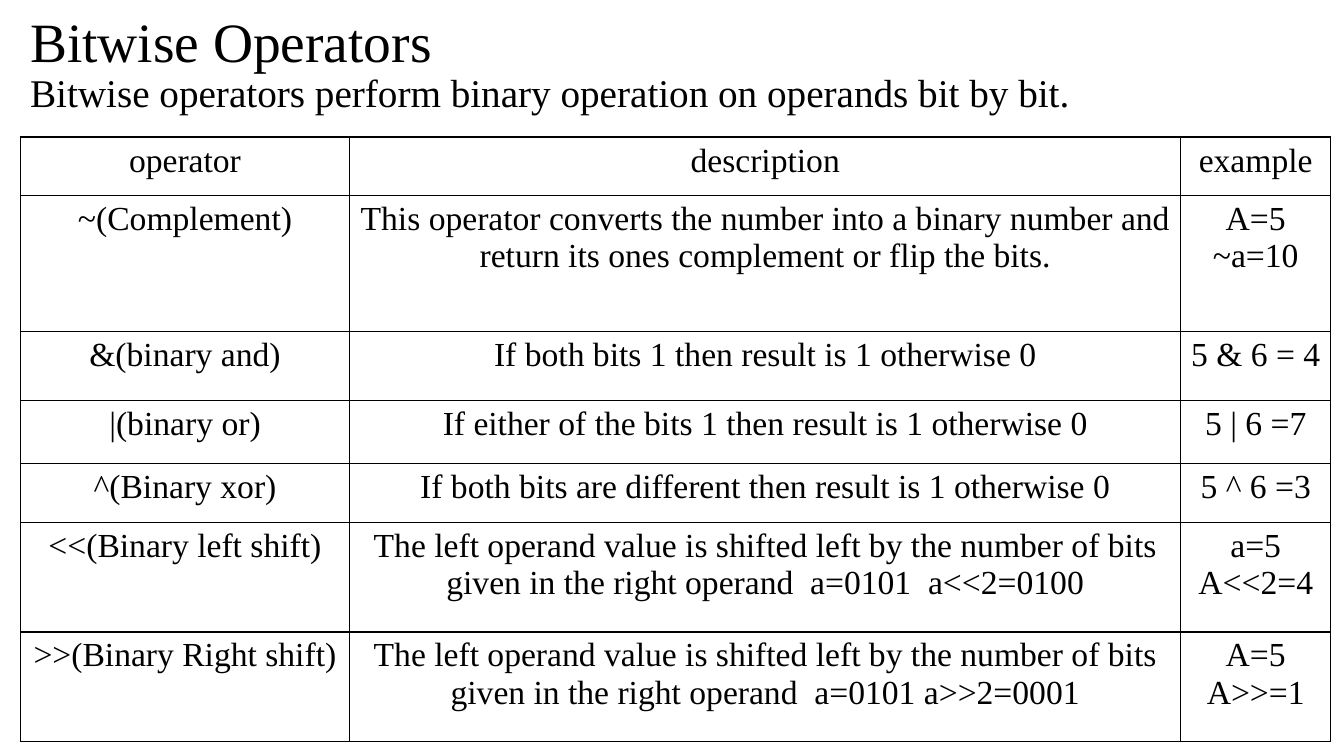
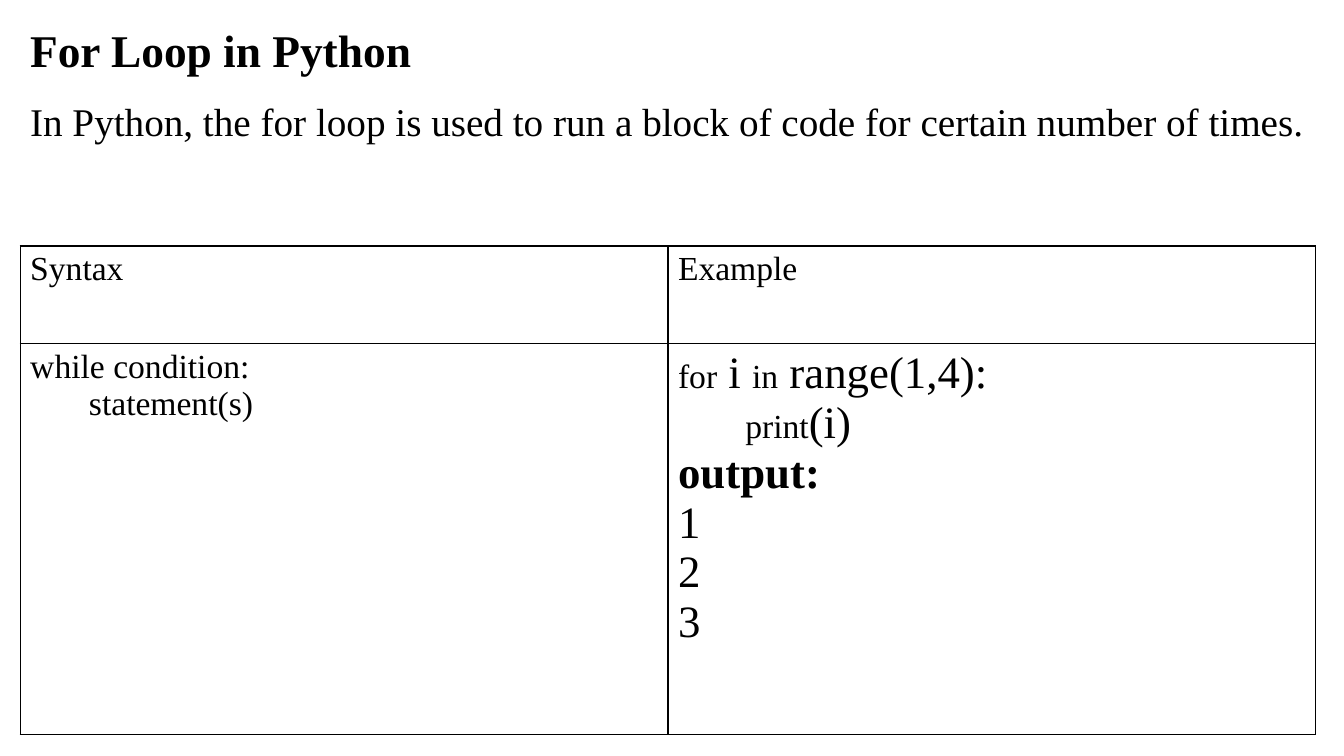
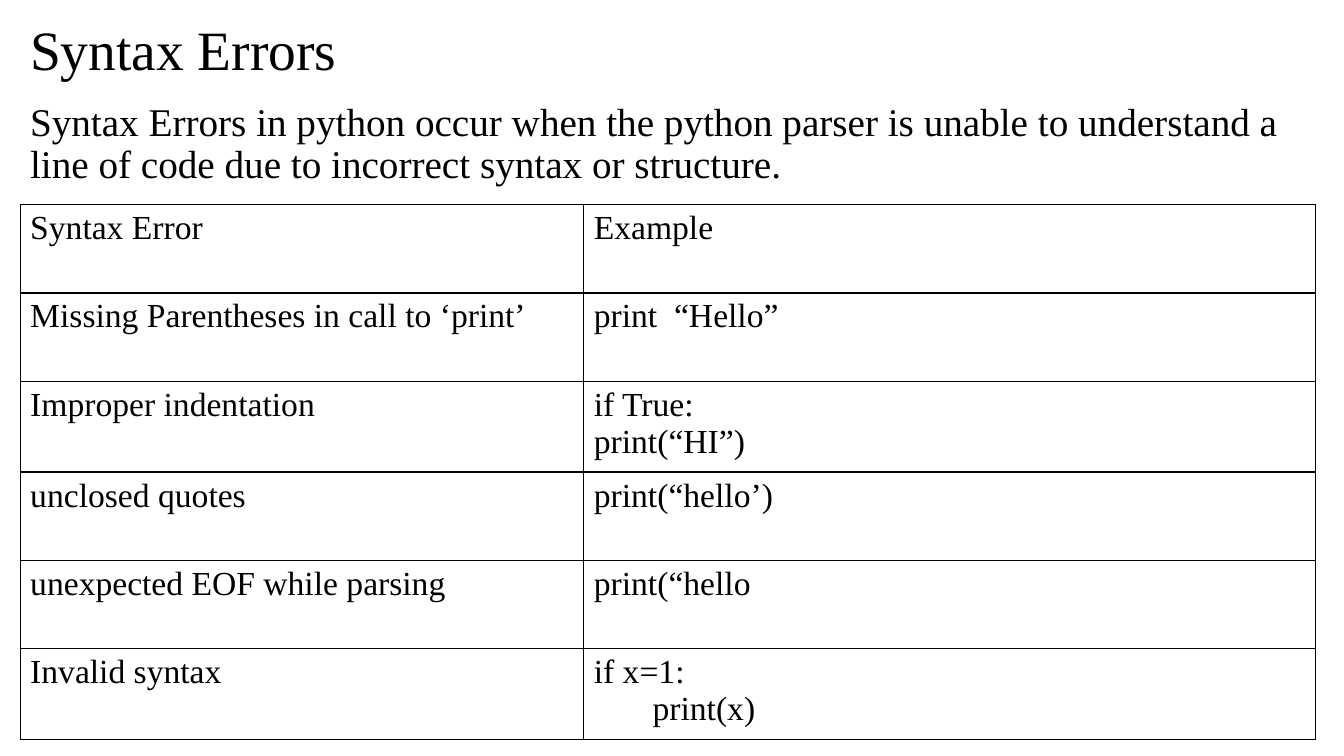
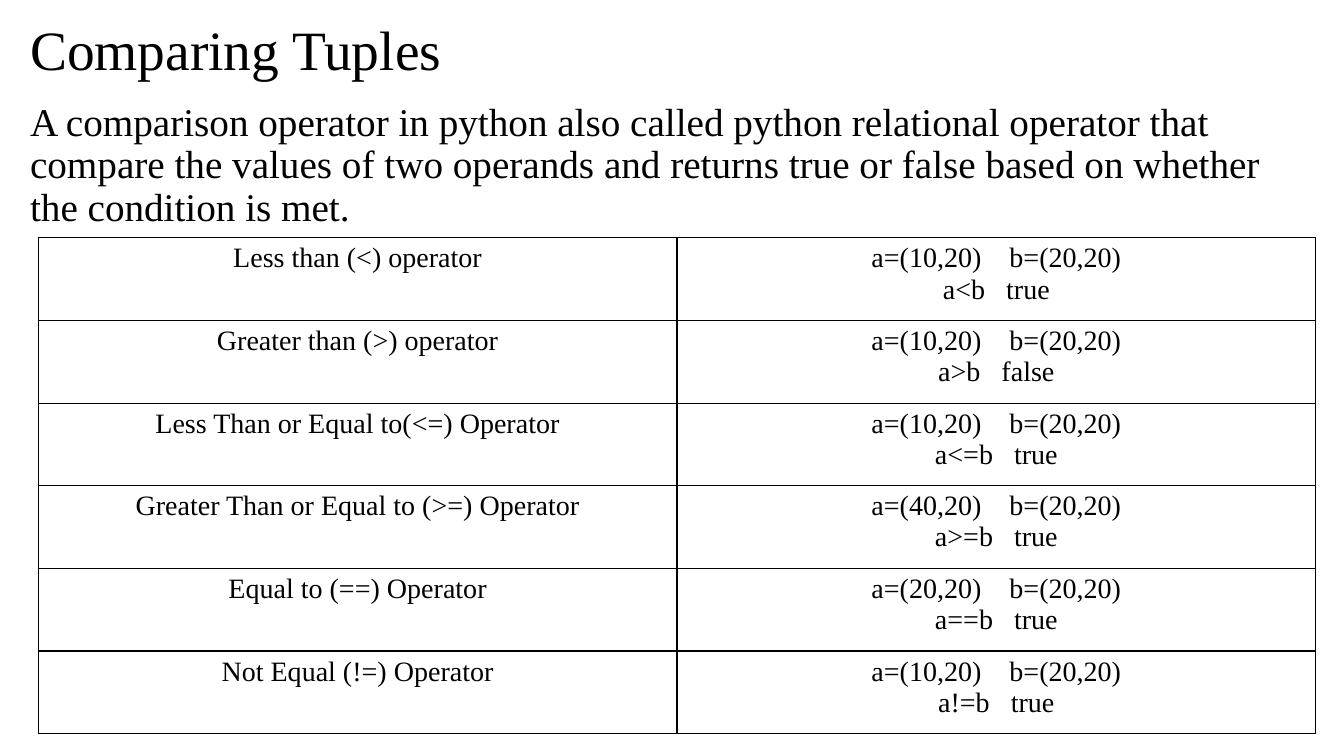
from dataclasses import dataclass

from lxml.etree import SubElement
from pptx import Presentation
from pptx.dml.color import RGBColor
from pptx.enum.text import MSO_ANCHOR, PP_ALIGN
from pptx.oxml.ns import qn
from pptx.util import Inches, Pt


@dataclass(frozen=True)
class Theme:
    font: str = "Times New Roman"
    ink: str = "000000"
    paper: str = "FFFFFF"
    title: float = 39.6
    small_title: float = 32.4
    body: float = 28
    cell: float = 24
    small_cell: float = 20
    large_code: float = 32
    border: float = 1
    line_spacing: float = 0.9


THEME = Theme()
LEFT, TOP, WIDTH, BOTTOM = 0.2, 0.2, 12.85, 7.29


@dataclass(frozen=True)
class Span:
    text: str
    size: float = THEME.cell
    bold: bool = False


# A cell is plain text, one paragraph a line, or lines of formatted spans
Cell = str | list[list[Span]]


@dataclass(frozen=True)
class Grid:
    left: float
    top: float
    columns: list[float]
    heights: list[float]
    cells: list[list[Cell]]
    size: float = THEME.cell
    align: PP_ALIGN = PP_ALIGN.LEFT


@dataclass(frozen=True)
class Topic:
    title: str
    body: str
    grid: Grid
    title_size: float = THEME.title
    title_height: float = 0.64
    body_top: float = 0.97
    title_bold: bool = False


# Text
def write_text(frame, text: Cell, *, size: float, bold: bool = False,
               align: PP_ALIGN = PP_ALIGN.LEFT, spacing: float | None = None) -> None:
    lines = text
    if isinstance(text, str):
        lines = [[Span(line, size, bold)] for line in text.split("\n")]
    for number, spans in enumerate(lines):
        para = frame.add_paragraph() if number else frame.paragraphs[0]
        para.alignment = align
        if spacing:
            para.line_spacing = spacing
        for span in spans:
            run = para.add_run()
            run.text = span.text
            run.font.name = THEME.font
            run.font.size = Pt(span.size)
            run.font.bold = span.bold
            run.font.color.rgb = RGBColor.from_string(THEME.ink)


def add_text(page, top: float, height: float, text: str, *, size: float,
             bold: bool = False, anchor: MSO_ANCHOR = MSO_ANCHOR.TOP) -> None:
    box = page.shapes.add_textbox(Inches(LEFT), Inches(top), Inches(WIDTH), Inches(height))
    frame = box.text_frame
    frame.word_wrap = True
    frame.vertical_anchor = anchor
    write_text(frame, text, size=size, bold=bold, spacing=THEME.line_spacing)


# Tables
def style_cell(cell) -> None:
    properties = cell._tc.get_or_add_tcPr()
    for side in ("lnL", "lnR", "lnT", "lnB"):
        line = SubElement(properties, qn(f"a:{side}"), w=str(Pt(THEME.border)))
        fill = SubElement(line, qn("a:solidFill"))
        SubElement(fill, qn("a:srgbClr"), val=THEME.ink)
    cell.fill.solid()
    cell.fill.fore_color.rgb = RGBColor.from_string(THEME.paper)


def add_grid(page, grid: Grid) -> None:
    table = page.shapes.add_table(
        len(grid.heights), len(grid.columns), Inches(grid.left), Inches(grid.top),
        Inches(sum(grid.columns)), Inches(sum(grid.heights))).table
    table.first_row = table.horz_banding = False
    for column, width in zip(table.columns, grid.columns):
        column.width = Inches(width)
    for row, height, texts in zip(table.rows, grid.heights, grid.cells):
        row.height = Inches(height)
        for cell, text in zip(row.cells, texts):
            style_cell(cell)
            write_text(cell.text_frame, text, size=grid.size, align=grid.align)


def add_topic(deck, topic: Topic) -> None:
    page = deck.slides.add_slide(deck.slide_layouts[6])
    page.background.fill.solid()
    page.background.fill.fore_color.rgb = RGBColor.from_string(THEME.paper)
    add_text(page, TOP, topic.title_height, topic.title, size=topic.title_size,
             bold=topic.title_bold, anchor=MSO_ANCHOR.MIDDLE)
    add_text(page, topic.body_top, BOTTOM - topic.body_top, topic.body, size=THEME.body)
    add_grid(page, topic.grid)


# Content
SHIFT = "The left operand value is shifted left by the number of bits given in the right operand  "

BITWISE = Grid(
    LEFT, 1.36, [3.27, 8.24, 1.49], [0.58, 1.35, 0.68, 0.63, 0.58, 1.09, 1.09],
    [
        ["operator", "description", "example"],
        ["~(Complement)",
         "This operator converts the number into a binary number and "
         "return its ones complement or flip the bits.",
         "A=5\n~a=10"],
        ["&(binary and)", "If both bits 1 then result is 1 otherwise 0", "5 & 6 = 4"],
        ["|(binary or)", "If either of the bits 1 then result is 1 otherwise 0", "5 | 6 =7"],
        ["^(Binary xor)", "If both bits are different then result is 1 otherwise 0",
         "5 ^ 6 =3"],
        ["<<(Binary left shift)", SHIFT + "a=0101  a<<2=0100", "a=5\nA<<2=4"],
        [">>(Binary Right shift)", SHIFT + "a=0101 a>>2=0001", "A=5\nA>>=1"],
    ],
    align=PP_ALIGN.CENTER)

LARGE = THEME.large_code
FOR_EXAMPLE = [
    [Span("for"), Span(" i ", LARGE), Span("in"), Span(" range(1,4):", LARGE)],
    [Span("      ", LARGE), Span("print"), Span("(i)", LARGE)],
    [Span("output:", LARGE, bold=True)],
    *([Span(str(number), LARGE)] for number in range(1, 4)),
]

FOR_LOOP = Grid(
    LEFT, 2.44, [WIDTH / 2] * 2, [0.97, 3.88],
    [["Syntax", "Example"],
     ["while condition:\n       statement(s)", FOR_EXAMPLE]])

ERRORS = Grid(
    LEFT, 2.03, [5.59, 7.26], [5.26 / 6] * 6,
    [
        ["Syntax Error", "Example"],
        ["Missing Parentheses in call to ‘print’", "print  “Hello”"],
        ["Improper indentation", "if True:\nprint(“HI”)"],
        ["unclosed quotes", "print(“hello’)"],
        ["unexpected EOF while parsing", "print(“hello"],
        ["Invalid syntax", "if x=1:\n       print(x)"],
    ])

COMPARISONS = [
    ("Less than (<) operator", 10, "a<b   true"),
    ("Greater than (>) operator", 10, "a>b   false"),
    ("Less Than or Equal to(<=) Operator", 10, "a<=b   true"),
    ("Greater Than or Equal to (>=) Operator", 40, "a>=b   true"),
    ("Equal to (==) Operator", 20, "a==b   true"),
    ("Not Equal (!=) Operator", 10, "a!=b   true"),
]

TUPLES = Grid(
    0.38, 2.36, [12.67 / 2] * 2, [0.82] * len(COMPARISONS),
    [[name, f"a=({first},20)    b=(20,20)\n{result}"] for name, first, result in COMPARISONS],
    size=THEME.small_cell, align=PP_ALIGN.CENTER)

TOPICS = [
    Topic("Bitwise Operators",
          "Bitwise operators perform binary operation on operands bit by bit.",
          BITWISE, title_height=0.48, body_top=0.68),
    Topic("For Loop in Python",
          "In Python, the for loop is used to run a block of code for certain number of times.",
          FOR_LOOP, title_size=THEME.small_title, title_bold=True),
    Topic("Syntax Errors",
          "Syntax Errors in python occur when the python parser is unable to understand "
          "a line of code due to incorrect syntax or structure.",
          ERRORS),
    Topic("Comparing Tuples",
          "A comparison operator in python also called python relational operator that "
          "compare the values of two operands and returns true or false based on whether "
          "the condition is met.",
          TUPLES),
]


def main() -> None:
    deck = Presentation()
    deck.slide_width, deck.slide_height = Inches(13.33), Inches(7.5)
    for topic in TOPICS:
        add_topic(deck, topic)
    deck.save("out.pptx")


if __name__ == "__main__":
    main()
